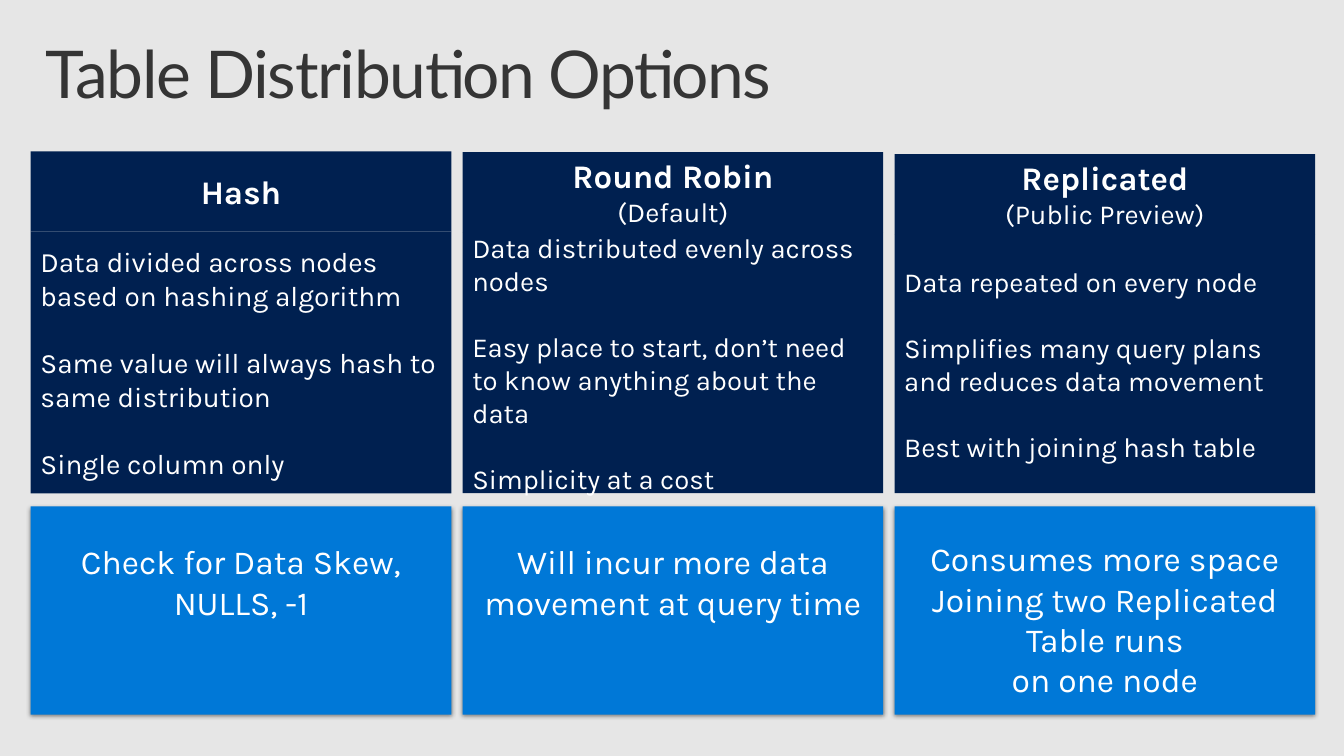
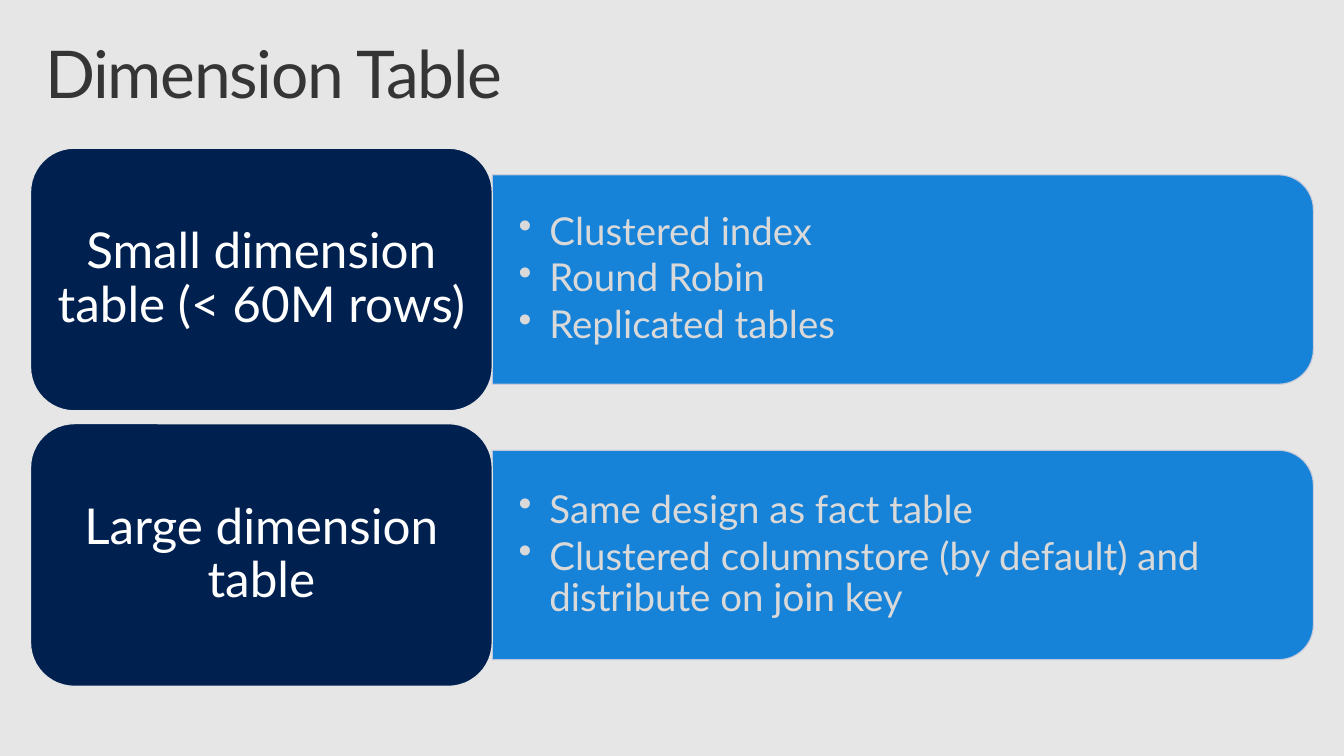
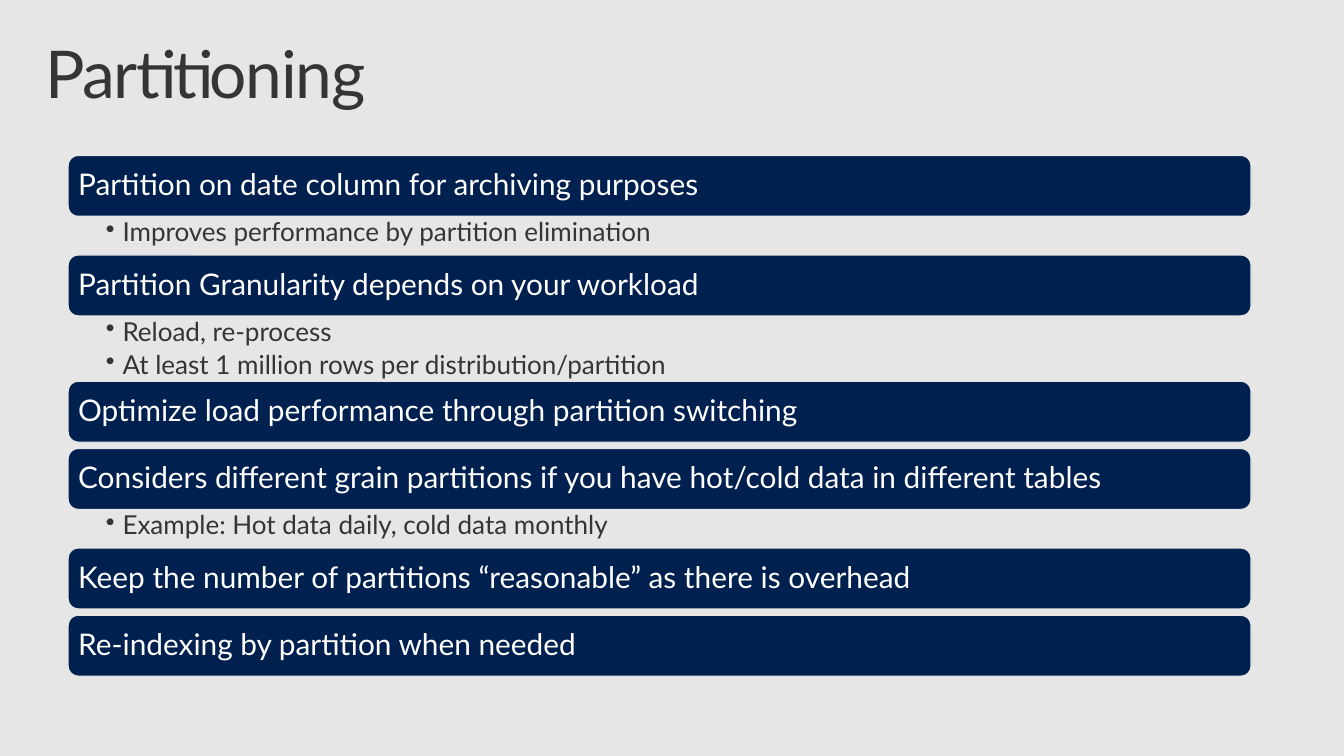
from dataclasses import dataclass
from typing import Optional

import lxml.etree
import pptx
import pptx.dml.color
import pptx.enum.shapes
import pptx.enum.text
import pptx.oxml.ns
import pptx.util

Pt = pptx.util.Pt
RGB = pptx.dml.color.RGBColor
SHAPE = pptx.enum.shapes.MSO_SHAPE
ALIGN = pptx.enum.text.PP_ALIGN
ANCHOR = pptx.enum.text.MSO_ANCHOR
qn = pptx.oxml.ns.qn


@dataclass(frozen=True)
class Theme:
    background: RGB = RGB.from_string("E6E6E6")
    navy: RGB = RGB.from_string("002050")
    blue: RGB = RGB.from_string("0078D7")
    panel_line: RGB = RGB.from_string("CCCCDB")
    dark_text: RGB = RGB.from_string("353535")
    pale_text: RGB = RGB.from_string("D9D9D9")
    white: RGB = RGB.from_string("FFFFFF")
    heading_font: str = "Lato"
    option_font: str = "Karla"
    title_size: float = 48
    option_title_size: float = 24
    option_text_size: float = 20
    note_size: float = 24.5
    card_size: float = 36
    panel_size: float = 28
    bar_size: float = 21.7
    detail_size: float = 19
    line_width: float = 0.85


THEME = Theme()


@dataclass(frozen=True)
class TextStyle:
    """Paragraph look; gap is the space between paragraphs."""
    size: float
    color: RGB = THEME.white
    font: str = THEME.heading_font
    bold: bool = False
    align: ALIGN = ALIGN.LEFT
    line_spacing: float = 0.9
    gap: float = 0
    bullet_indent: float = 0
    tracking: float = 0


@dataclass(frozen=True)
class DistributionOption:
    name: str
    qualifier: Optional[str]
    facts: list
    note: list
    top: float
    text_size: float = THEME.option_text_size
    note_inset: float = 25.2


OPTIONS = [
    DistributionOption(
        "Hash", None,
        ["Data divided across nodes based on hashing algorithm",
         "Same value will always hash to same distribution",
         "Single column only"],
        ["Check for Data Skew, NULLS, -1"], top=110.2, text_size=20.4),
    DistributionOption(
        "Round Robin", "(Default)",
        ["Data distributed evenly across nodes",
         "Easy place to start, don’t need to know anything about the data",
         "Simplicity at a cost"],
        ["Will incur more data movement at query time"], top=110.9),
    DistributionOption(
        "Replicated", "(Public Preview)",
        ["Data repeated on every node",
         "Simplifies many query plans and reduces data movement",
         "Best with joining hash table"],
        ["Consumes more space", "Joining two Replicated Table runs", "on one node"],
        top=112.3, note_inset=23.2),
]

DIMENSION_TABLES = [
    ("Small dimension table (< 60M rows)",
     ["Clustered index", "Round Robin", "Replicated tables"]),
    ("Large dimension table",
     ["Same design as fact table",
      "Clustered columnstore (by default) and distribute on join key"]),
]

PARTITION_ADVICE = [
    ("Partition on date column for archiving purposes",
     ["Improves performance by partition elimination"]),
    ("Partition Granularity depends on your workload",
     ["Reload, re-process", "At least 1 million rows per distribution/partition"]),
    ("Optimize load performance through partition switching", []),
    ("Considers different grain partitions if you have hot/cold data in different tables",
     ["Example: Hot data daily, cold data monthly"]),
    ("Keep the number of partitions “reasonable” as there is overhead", []),
    ("Re-indexing by partition when needed", []),
]


def format_paragraph(paragraph, style, is_first):
    paragraph.alignment = style.align
    paragraph.line_spacing = style.line_spacing
    paragraph.space_before = Pt(0 if is_first else style.gap)
    if style.bullet_indent:
        properties = paragraph._p.get_or_add_pPr()
        indent = Pt(style.bullet_indent)
        properties.set("marL", str(indent))
        properties.set("indent", str(-indent))
        lxml.etree.SubElement(properties, qn("a:buChar"), char="•")
    for run in paragraph.runs:
        run.font.name = style.font
        run.font.size = Pt(style.size)
        run.font.bold = style.bold
        run.font.color.rgb = style.color
        if style.tracking:
            run._r.get_or_add_rPr().set("spc", str(round(style.tracking * 100)))


def write_text(shape, styled_lines, insets, anchor=ANCHOR.MIDDLE):
    """Write (text, style) pairs as paragraphs; insets are left, top, right, bottom."""
    frame = shape.text_frame
    frame.word_wrap = True
    frame.vertical_anchor = anchor
    (frame.margin_left, frame.margin_top,
     frame.margin_right, frame.margin_bottom) = map(Pt, insets)
    frame.text = "\n".join(text for text, _ in styled_lines)
    for index, (_, style) in enumerate(styled_lines):
        format_paragraph(frame.paragraphs[index], style, index == 0)


def add_text_box(slide, box, styled_lines, insets, anchor=ANCHOR.MIDDLE):
    text_box = slide.shapes.add_textbox(*map(Pt, box))
    write_text(text_box, styled_lines, insets, anchor)


def add_block(slide, kind, box, fill, line=None):
    shape = slide.shapes.add_shape(kind, *map(Pt, box))
    shape.shadow.inherit = False
    shape.fill.solid()
    shape.fill.fore_color.rgb = fill
    if line is None:
        shape.line.fill.background()
    else:
        shape.line.color.rgb = line
        shape.line.width = Pt(THEME.line_width)
    return shape


def add_soft_shadow(shape):
    effects = shape.element.spPr.find(qn("a:effectLst"))
    shadow = lxml.etree.SubElement(
        effects, qn("a:outerShdw"), blurRad=str(Pt(3.5)), dist=str(Pt(1.1)),
        dir="5400000", algn="t", rotWithShape="0")
    color = lxml.etree.SubElement(shadow, qn("a:srgbClr"), val="000000")
    lxml.etree.SubElement(color, qn("a:alpha"), val="45000")


def add_side_panel(slide, left, top, width, height):
    """Add a translucent panel whose right corners are rounded."""
    turned_box = (left + (width - height) / 2, top + (height - width) / 2, height, width)
    panel = add_block(slide, SHAPE.ROUND_2_SAME_RECTANGLE, turned_box,
                      THEME.blue, THEME.panel_line)
    panel.rotation = 90
    for color in panel.element.spPr.iter(qn("a:srgbClr")):
        lxml.etree.SubElement(color, qn("a:alpha"), val="90000")


def add_titled_slide(presentation, title):
    slide = presentation.slides.add_slide(presentation.slide_layouts[6])
    style = TextStyle(THEME.title_size, THEME.dark_text, tracking=-1)
    add_text_box(slide, (21.6, 23, 936, 72), [(title, style)],
                 (11.5, 7.2, 11.5, 7.2), ANCHOR.TOP)
    return slide


def add_option(slide, option, left):
    width, header_height, body_bottom = 306.5, 58.3, 359.4
    body_top = option.top + header_height

    def option_style(size, **changes):
        return TextStyle(size, font=THEME.option_font, line_spacing=1, **changes)

    body = add_block(slide, SHAPE.RECTANGLE,
                     (left, body_top, width, body_bottom - body_top), THEME.navy)
    fact_style = option_style(option.text_size, gap=option.text_size * 1.2)
    write_text(body, [(fact, fact_style) for fact in option.facts], (7.2, 3.6, 7.2, 3.6))

    header = add_block(slide, SHAPE.RECTANGLE,
                       (left, option.top, width, header_height), THEME.navy)
    heading = [(option.name, option_style(THEME.option_title_size, bold=True,
                                          align=ALIGN.CENTER))]
    if option.qualifier:
        heading.append((option.qualifier,
                        option_style(THEME.option_text_size, align=ALIGN.CENTER)))
    write_text(header, heading, (7.2, 0, 7.2, 0))

    note = add_block(slide, SHAPE.RECTANGLE, (left, 369, width, 151.7), THEME.blue)
    add_soft_shadow(note)
    note_style = option_style(THEME.note_size, align=ALIGN.CENTER)
    write_text(note, [(line, note_style) for line in option.note],
               (0, option.note_inset, 0, 3.6), ANCHOR.TOP)


def add_dimension_row(slide, heading, points, top):
    card_left, card_width, card_height = 22.3, 336.3, 191.3
    panel_height = 152.6
    panel_box = (card_left + card_width, top + (card_height - panel_height) / 2,
                 598.3, panel_height)
    add_side_panel(slide, *panel_box)
    point_style = TextStyle(THEME.panel_size, THEME.pale_text, gap=3.8, bullet_indent=22.5)
    add_text_box(slide, panel_box, [(point, point_style) for point in points],
                 (19.2, 9.8, 19.2, 9.8))

    card = add_block(slide, SHAPE.ROUNDED_RECTANGLE,
                     (card_left, top, card_width, card_height),
                     THEME.navy, THEME.background)
    card_style = TextStyle(THEME.card_size, align=ALIGN.CENTER)
    write_text(card, [(heading, card_style)], (7.2, 7.2, 7.2, 7.2))


def add_advice_list(slide, advice):
    """Stack bars downwards, each followed by its details or a small gap."""
    left, top, width, bar_height = 49.7, 113.3, 861.8, 44.3
    bar_style = TextStyle(THEME.bar_size)
    detail_style = TextStyle(THEME.detail_size, THEME.dark_text, gap=3.6, bullet_indent=12.2)
    for heading, details in advice:
        bar = add_block(slide, SHAPE.ROUNDED_RECTANGLE, (left, top, width, bar_height),
                        THEME.navy, THEME.background)
        write_text(bar, [(heading, bar_style)], (5.1, 0, 5.1, 0))
        top += bar_height
        if details:
            detail_height = 28.2 + 19.5 * (len(details) - 1)
            add_text_box(slide, (left, top, width, detail_height),
                         [(detail, detail_style) for detail in details],
                         (27.4, 2.2, 12.2, 2.2), ANCHOR.TOP)
            top += detail_height
        else:
            top += 4.7


def main():
    presentation = pptx.Presentation()
    presentation.slide_width = Pt(979.2)
    presentation.slide_height = Pt(550.8)
    background = presentation.slide_master.background.fill
    background.solid()
    background.fore_color.rgb = THEME.background

    options_slide = add_titled_slide(presentation, "Table Distribution Options")
    for index, option in enumerate(OPTIONS):
        add_option(options_slide, option, 22.3 + 314.7 * index)

    dimension_slide = add_titled_slide(presentation, "Dimension Table")
    for index, (heading, points) in enumerate(DIMENSION_TABLES):
        add_dimension_row(dimension_slide, heading, points, 108 + 200.7 * index)

    partition_slide = add_titled_slide(presentation, "Partitioning")
    add_advice_list(partition_slide, PARTITION_ADVICE)

    presentation.save("out.pptx")


if __name__ == "__main__":
    main()
